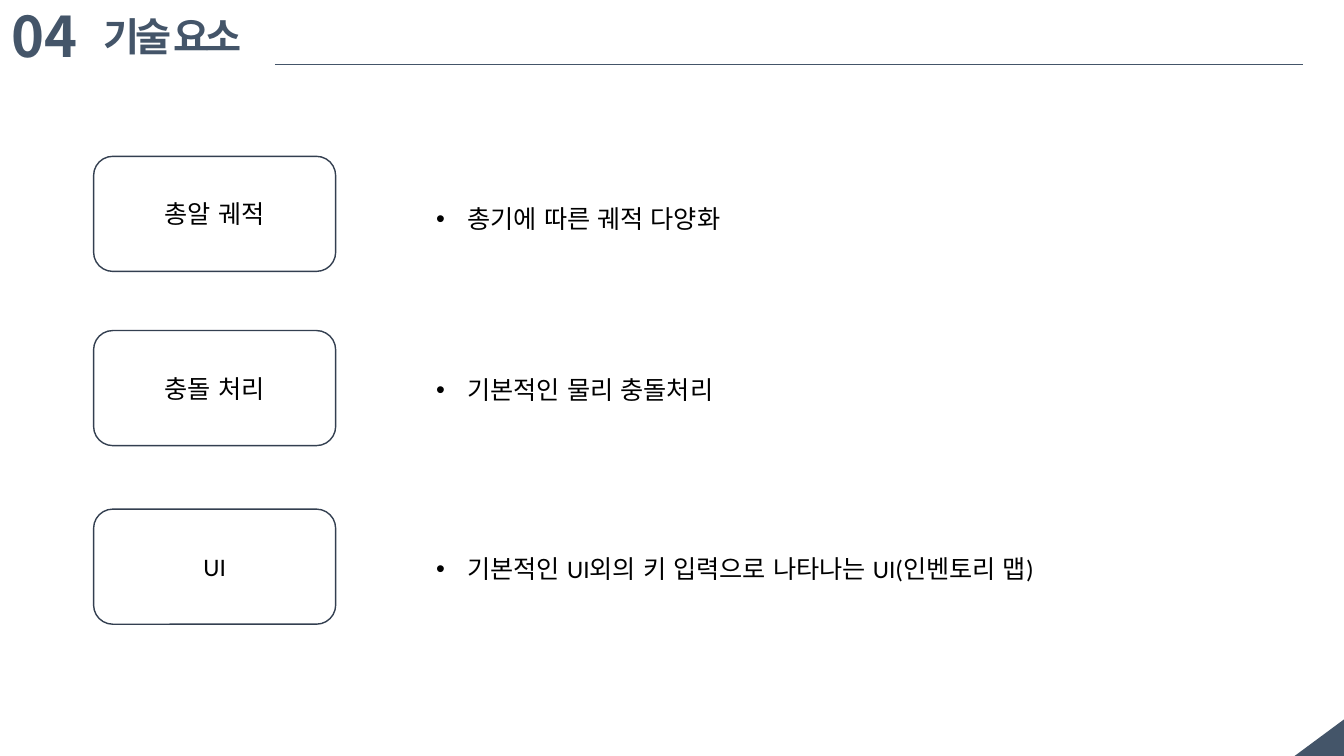
from dataclasses import dataclass

from lxml.etree import SubElement
from pptx import Presentation
from pptx.dml.color import RGBColor
from pptx.enum.lang import MSO_LANGUAGE_ID as Language
from pptx.enum.shapes import MSO_CONNECTOR as Connector, MSO_SHAPE as Shape
from pptx.enum.text import MSO_ANCHOR as Anchor, PP_ALIGN as Align
from pptx.oxml.ns import qn
from pptx.util import Cm, Pt


@dataclass(frozen=True)
class Theme:
    accent: RGBColor = RGBColor(0x44, 0x55, 0x69)
    outline: RGBColor = RGBColor(0x33, 0x3F, 0x50)
    text: RGBColor = RGBColor(0, 0, 0)
    number_size: Pt = Pt(40)
    title_size: Pt = Pt(28)
    body_size: Pt = Pt(18)
    korean_font: str = "Noto Sans CJK KR"
    title_font: str = "Arial"
    body_font: str = "Calibri"


theme = Theme()


def write_text(shape, text, size=theme.body_size, font=theme.body_font,
               color=theme.text, bold=False, align=Align.LEFT,
               anchor=Anchor.TOP, wrap=True, spacing=0, bullet=False):
    frame = shape.text_frame
    frame.word_wrap = wrap
    frame.vertical_anchor = anchor
    paragraph = frame.paragraphs[0]
    paragraph.alignment = align
    if bullet:
        properties = paragraph._p.get_or_add_pPr()
        properties.set("marL", str(Cm(0.79)))
        properties.set("indent", str(Cm(-0.79)))
        SubElement(properties, qn("a:buFont")).set("typeface", "Arial")
        SubElement(properties, qn("a:buChar")).set("char", "•")
    run = paragraph.add_run()
    run.text = text
    run.font.size = size
    run.font.name = font
    run.font.bold = bold
    run.font.color.rgb = color
    run.font.language_id = Language.KOREAN
    run_properties = run._r.get_or_add_rPr()
    SubElement(run_properties, qn("a:ea")).set("typeface", theme.korean_font)
    if spacing:
        run_properties.set("spc", str(spacing))


presentation = Presentation()
presentation.slide_width = Cm(33.87)
presentation.slide_height = Cm(19.05)
slide = presentation.slides.add_slide(presentation.slide_layouts[6])
shapes = slide.shapes

corner = shapes.add_shape(Shape.RIGHT_TRIANGLE, Cm(32.77), Cm(17.96), Cm(0.94), Cm(1.27))
corner.rotation = 270
corner.shadow.inherit = False
corner.fill.solid()
corner.fill.fore_color.rgb = theme.accent
corner.line.fill.background()

number = shapes.add_textbox(Cm(0.05), Cm(-0.08), Cm(3.23), Cm(1.96))
write_text(number, "04", size=theme.number_size, font=theme.korean_font,
           color=theme.accent, bold=True)

title = shapes.add_textbox(Cm(2.36), Cm(0.18), Cm(4.32), Cm(1.45))
write_text(title, "기술 요소", size=theme.title_size, font=theme.title_font,
           color=theme.accent, bold=True, wrap=False, spacing=-300)

rule = shapes.add_connector(Connector.STRAIGHT, Cm(6.93), Cm(1.63), Cm(32.84), Cm(1.63))
rule.line.color.rgb = theme.accent
rule.line.width = Pt(0.75)
SubElement(rule._element.spPr, qn("a:effectLst"))

elements = [
    ("총알 궤적", 3.94, "총기에 따른 궤적 다양화", 5.0, 14.5, 2.57),
    ("충돌 처리", 8.33, "기본적인 물리 충돌처리", 9.32, 14.5, 1.02),
    ("UI", 12.83, "기본적인 UI외의 키 입력으로 나타나는 UI(인벤토리 맵)", 13.82, 19.91, 1.02),
]
for name, box_top, detail, detail_top, detail_width, detail_height in elements:
    box = shapes.add_shape(Shape.ROUNDED_RECTANGLE, Cm(2.36), Cm(box_top), Cm(6.1), Cm(2.9))
    box.shadow.inherit = False
    box.fill.background()
    box.line.color.rgb = theme.outline
    box.line.width = Pt(1)
    write_text(box, name, align=Align.CENTER, anchor=Anchor.MIDDLE)

    description = shapes.add_textbox(Cm(10.74), Cm(detail_top), Cm(detail_width), Cm(detail_height))
    write_text(description, detail, bullet=True)

presentation.save("out.pptx")
